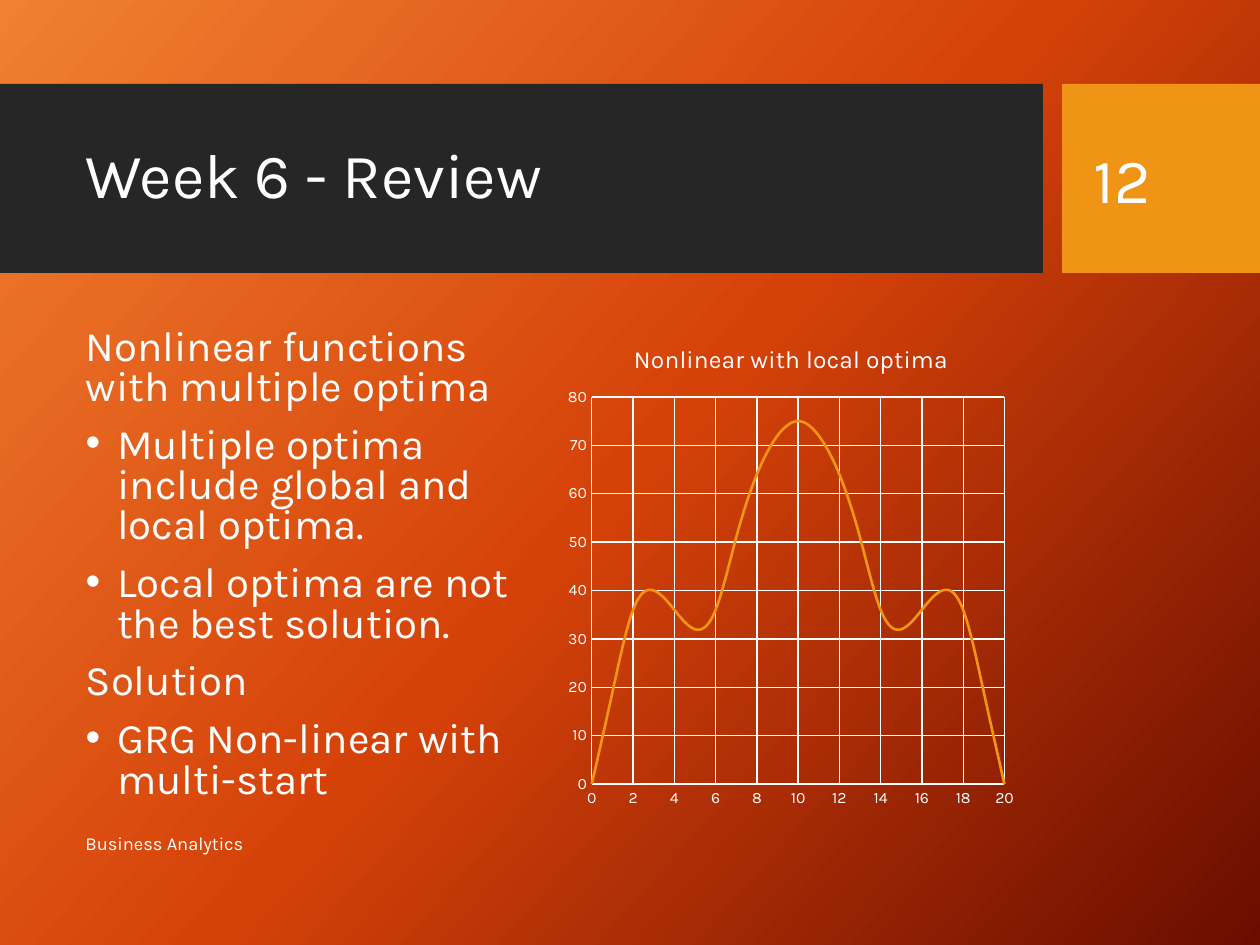
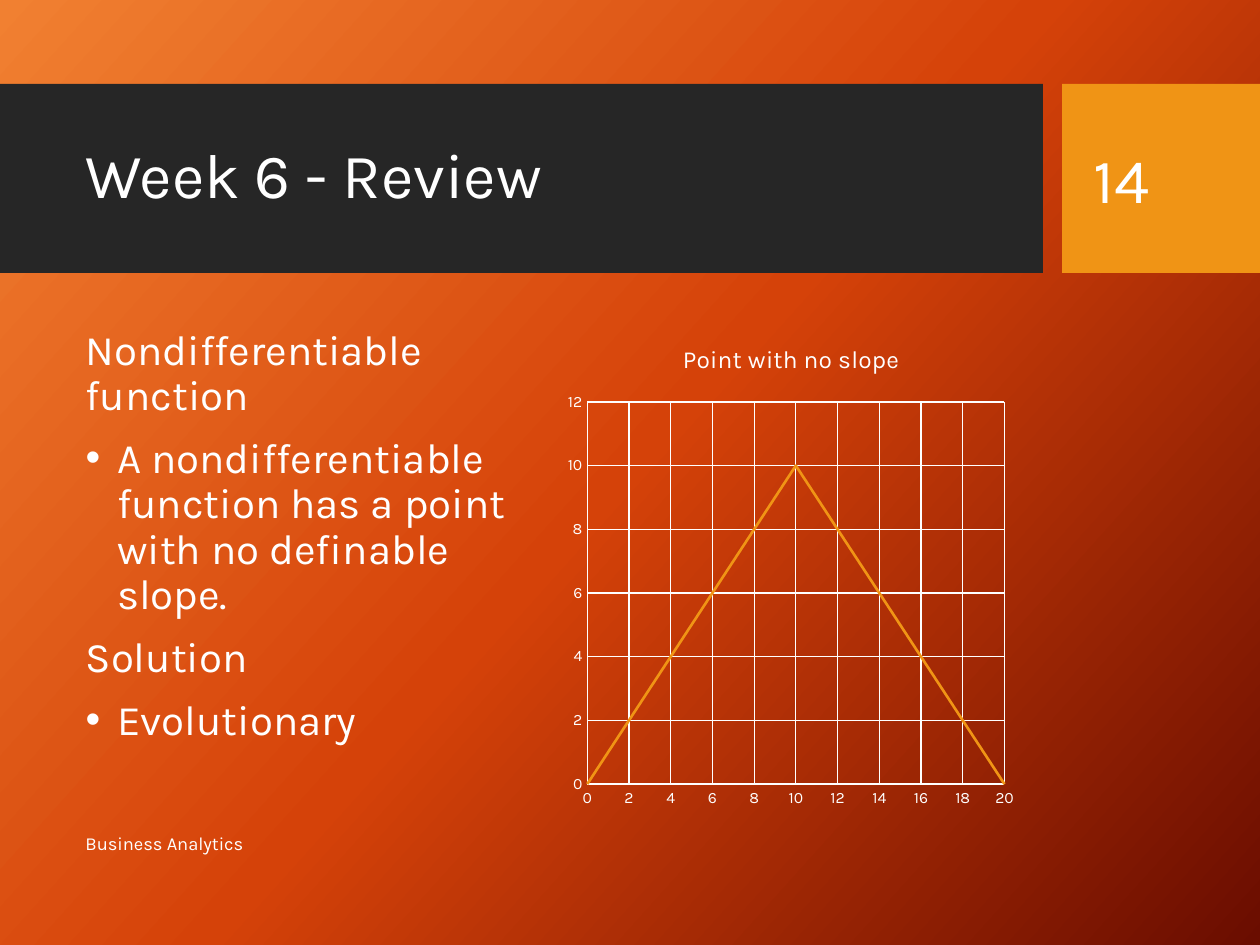
from dataclasses import dataclass

from lxml import etree
from pptx import Presentation
from pptx.chart.data import XyChartData
from pptx.dml.color import RGBColor
from pptx.enum.chart import XL_CHART_TYPE, XL_TICK_MARK
from pptx.enum.shapes import MSO_SHAPE
from pptx.enum.text import MSO_ANCHOR, MSO_AUTO_SIZE
from pptx.oxml import parse_xml
from pptx.oxml.ns import nsdecls, qn
from pptx.util import Pt

RECTANGLE = MSO_SHAPE.RECTANGLE
MIDDLE, TOP = MSO_ANCHOR.MIDDLE, MSO_ANCHOR.TOP
NO_AUTOFIT = MSO_AUTO_SIZE.NONE
NO_TICKS = XL_TICK_MARK.NONE
SMOOTH = XL_CHART_TYPE.XY_SCATTER_SMOOTH_NO_MARKERS
STRAIGHT = XL_CHART_TYPE.XY_SCATTER_LINES_NO_MARKERS


@dataclass(frozen=True)
class Theme:
    """Colours, font and type sizes of the deck."""
    font: str = "Karla"
    text: RGBColor = RGBColor(0xFF, 0xFF, 0xFF)
    band: RGBColor = RGBColor(0x26, 0x26, 0x26)
    accent: RGBColor = RGBColor(0xF0, 0x94, 0x15)
    background: tuple = ((0, "F18031"), (50, "D54209"), (100, "6A0D00"))
    background_angle: int = 42
    title_size: float = 36
    body_size: float = 24
    chart_title_size: float = 14
    axis_size: float = 9
    footer_size: float = 10.5


THEME = Theme()

# Left, top, width and height in points
TITLE_BAND = (0, 48, 596, 108)
NUMBER_BAND = (607, 48, 113, 108)
TITLE_AREA = (41.76, 59.04, 542.16, 84.96)
BODY_AREA = (41.76, 184.32, 264.24, 283.68)
CHART_AREA = (319.68, 184.32, 264.96, 283.68)
FOOTER_AREA = (41.76, 467.28, 380.88, 28.8)
NUMBER_AREA = (617.76, 59.04, 91.44, 85.68)
BULLET_INDENT = Pt(18)
PLOT_RIGHT, PLOT_BOTTOM = 0.96, 0.93  # shares of the chart area

PAGES = [
    {
        "number": "12",
        "line_spacing": 0.8,
        "body": [  # (has a bullet, text)
            (False, "Nonlinear functions with multiple optima"),
            (True, "Multiple optima include global and local optima."),
            (True, "Local optima are not the best solution."),
            (False, "Solution"),
            (True, "GRG Non-linear with multi-start"),
        ],
        "chart_type": SMOOTH,
        "chart_title": "Nonlinear with local optima",
        "rising_values": [0, 19, 36, 40, 36, 32, 36, 51, 64, 72, 75],
        "maximum": 80,
        "step": 10,
        "plot_origin": (0.07, 0.15),
    },
    {
        "number": "14",
        "line_spacing": 0.9,
        "body": [
            (False, "Nondifferentiable function"),
            (True, "A nondifferentiable function has a point with no definable slope."),
            (False, "Solution"),
            (True, "Evolutionary"),
        ],
        "chart_type": STRAIGHT,
        "chart_title": "Point with no slope",
        "rising_values": list(range(11)),
        "maximum": 12,
        "step": 2,
        "plot_origin": (0.06, 0.16),
    },
]


def points(area):
    """Turn a tuple of numbers into lengths in points."""
    return [Pt(value) for value in area]


def style_text(frame, size, anchor=MIDDLE):
    """Give every run of a text frame the theme font, colour and size."""
    frame.word_wrap = True
    frame.auto_size = NO_AUTOFIT
    frame.vertical_anchor = anchor
    for paragraph in frame.paragraphs:
        for span in paragraph.runs:
            span.font.name = THEME.font
            span.font.size = Pt(size)
            span.font.bold = False
            span.font.color.rgb = THEME.text


deck = Presentation()
deck.slide_width, deck.slide_height = Pt(720), Pt(540)
layout = deck.slide_layouts[1]

# Background gradient on the master
fill = deck.slide_master.background.fill
fill.gradient()
fill.gradient_angle = 360 - THEME.background_angle
stops = deck.slide_master.element.find(".//" + qn("p:bgPr")).find(".//" + qn("a:gsLst"))
for stop in list(stops):
    stops.remove(stop)
for position, color in THEME.background:
    stops.append(parse_xml(
        f'<a:gs {nsdecls("a")} pos="{position * 1000}"><a:srgbClr val="{color}"/></a:gs>'))

# Title and body places on the layout
for placeholder, area in zip(layout.placeholders, (TITLE_AREA, BODY_AREA)):
    placeholder.left, placeholder.top, placeholder.width, placeholder.height = points(area)

pages = [deck.slides.add_slide(layout) for _ in PAGES]

# Bands are drawn once and moved to the layout, behind its placeholders
for area, color in ((NUMBER_BAND, THEME.accent), (TITLE_BAND, THEME.band)):
    band = pages[0].shapes.add_shape(RECTANGLE, *points(area))
    band.shadow.inherit = False
    band.fill.solid()
    band.fill.fore_color.rgb = color
    band.line.fill.background()
    layout.shapes.element.insert(2, band.element)

for page, content in zip(pages, PAGES):
    page.shapes.title.text_frame.text = "Week 6 - Review"
    style_text(page.shapes.title.text_frame, THEME.title_size)
    heading = page.shapes.title.text_frame.paragraphs[0]
    heading.line_spacing = 0.9
    heading.alignment = 1

    # Body list
    frame = page.placeholders[1].text_frame
    frame.text = "\n".join(text for _, text in content["body"])
    style_text(frame, THEME.body_size, TOP)
    for paragraph, (has_bullet, _) in zip(frame.paragraphs, content["body"]):
        paragraph.line_spacing = content["line_spacing"]
        paragraph.space_before = Pt(10)
        properties = paragraph._p.get_or_add_pPr()
        indent = BULLET_INDENT if has_bullet else 0
        properties.set("marL", str(indent))
        properties.set("indent", str(-indent))
        if has_bullet:
            etree.SubElement(properties, qn("a:buChar")).set("char", "•")
        else:
            etree.SubElement(properties, qn("a:buNone"))

    # Footer and page number
    for text, area, size in (("Business Analytics", FOOTER_AREA, THEME.footer_size),
                             (content["number"], NUMBER_AREA, THEME.title_size)):
        box = page.shapes.add_textbox(*points(area))
        box.text_frame.text = text
        style_text(box.text_frame, size)

    # Chart: the curve is symmetric about its peak
    rising = content["rising_values"]
    data = XyChartData()
    series_data = data.add_series("Series 1")
    for x, y in enumerate(rising + rising[-2::-1]):
        series_data.add_data_point(x, y)
    chart = page.shapes.add_chart(
        content["chart_type"], *points(CHART_AREA), data).chart
    chart.has_legend = False
    chart.font.name = THEME.font
    chart.font.size = Pt(THEME.axis_size)
    chart.font.color.rgb = THEME.text
    chart.has_title = True
    chart.chart_title.include_in_layout = False
    title_frame = chart.chart_title.text_frame
    title_frame.text = content["chart_title"]
    title_font = title_frame.paragraphs[0].runs[0].font
    title_font.name = THEME.font
    title_font.size = Pt(THEME.chart_title_size)
    title_font.bold = False
    title_font.color.rgb = THEME.text

    plot = chart.plots[0]
    plot.vary_by_categories = False
    curve = plot.series[0]
    curve.format.line.color.rgb = THEME.accent
    curve.format.line.width = Pt(1.5)
    for smooth in chart.element.iter(qn("c:smooth")):
        smooth.set("val", str(int(content["chart_type"] == SMOOTH)))

    for axis, maximum, step in ((chart.category_axis, 20, 2),
                                (chart.value_axis, content["maximum"], content["step"])):
        axis.minimum_scale, axis.maximum_scale, axis.major_unit = 0, maximum, step
        axis.major_tick_mark = axis.minor_tick_mark = NO_TICKS
        axis.has_major_gridlines = True
        axis.tick_labels.font.name = THEME.font
        axis.tick_labels.font.size = Pt(THEME.axis_size)
        axis.tick_labels.font.color.rgb = THEME.text
        for line in (axis.format.line, axis.major_gridlines.format.line):
            line.color.rgb = THEME.text
            line.width = Pt(0.75)

    # Fixed inner plot area
    left, top = content["plot_origin"]
    plot_area = chart.element.find(".//" + qn("c:plotArea"))
    for automatic in plot_area.findall(qn("c:layout")):
        plot_area.remove(automatic)
    plot_area.insert(0, parse_xml(
        f'<c:layout {nsdecls("c")}><c:manualLayout><c:layoutTarget val="inner"/>'
        '<c:xMode val="edge"/><c:yMode val="edge"/>'
        f'<c:x val="{left}"/><c:y val="{top}"/>'
        f'<c:w val="{PLOT_RIGHT - left:.2f}"/><c:h val="{PLOT_BOTTOM - top:.2f}"/>'
        '</c:manualLayout></c:layout>'))

deck.save("out.pptx")
